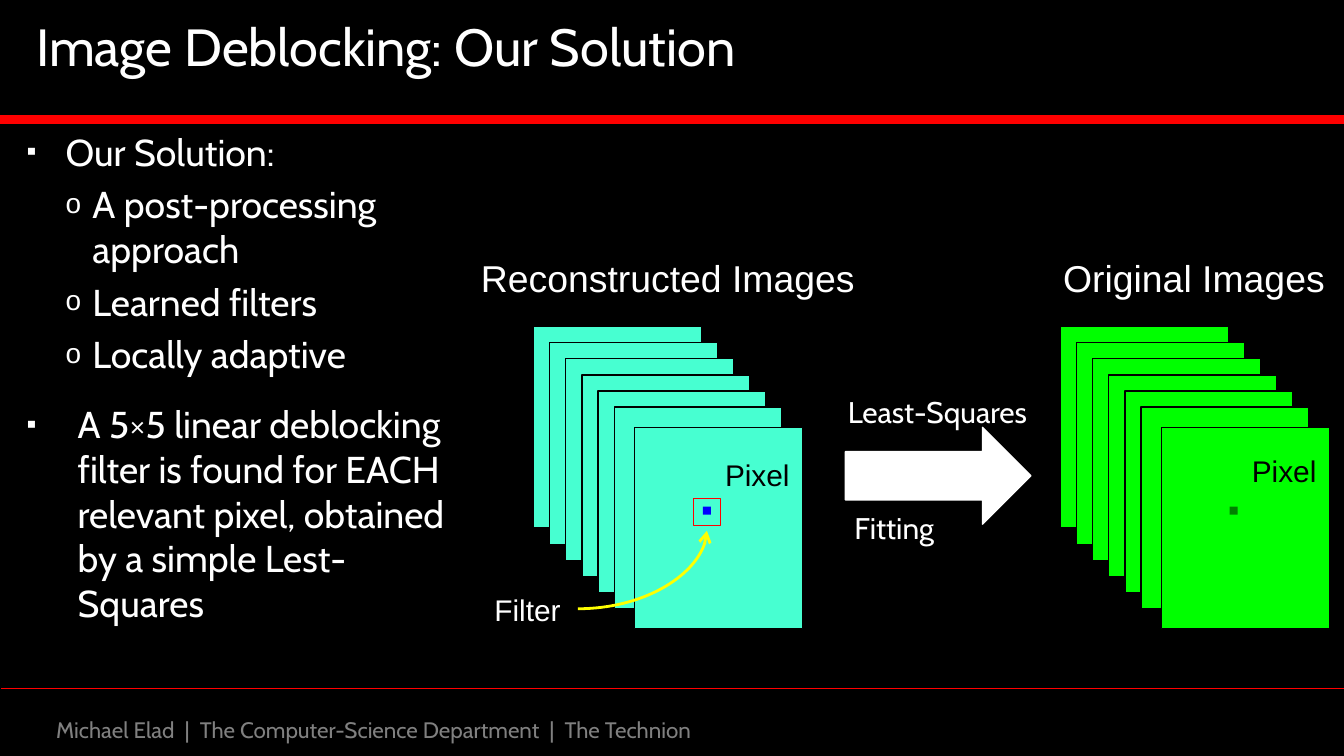
"""Build the image deblocking slide: bullets beside two image stacks joined by a fitting arrow."""
from dataclasses import dataclass
from typing import Optional

from lxml.etree import SubElement
from pptx import Presentation
from pptx.dml.color import RGBColor
from pptx.enum.shapes import MSO_CONNECTOR as Connector, MSO_SHAPE as Preset
from pptx.enum.text import MSO_ANCHOR as Anchor, PP_ALIGN as Align
from pptx.oxml.ns import qn
from pptx.util import Inches, Pt

CELL = 0.1
COLUMNS, ROWS = 100, 56.25


@dataclass(frozen=True)
class Theme:
    """Colours, fonts and type sizes of the slide."""
    background: str = "000000"
    text: str = "FFFFFF"
    dark_text: str = "000000"
    muted: str = "808080"
    accent: str = "FF0000"
    curve: str = "FFFF00"
    body_font: str = "Cabin"
    label_font: str = "Arial"
    title: int = 28
    body: int = 20
    label: int = 16
    footer: int = 12


@dataclass(frozen=True)
class Box:
    """A place on the grid, in cells."""
    column: float
    row: float
    columns: float
    rows: float

    def lengths(self) -> list:
        """Return left, top, width and height."""
        return [cells(n) for n in (self.column, self.row, self.columns, self.rows)]


@dataclass(frozen=True)
class Bullet:
    """One list item, with its indents in cells and its gap in points."""
    text: str
    mark: str
    margin: float
    hanging: float
    gap: float
    level: int = 0


@dataclass(frozen=True)
class Stack:
    """A pile of images with one marked pixel."""
    title: str
    title_box: Box
    column: float
    fill: str
    pixel: str
    pixel_label_row: float


THEME = Theme()
STACK_ROW = 24.3
SHEET_OFFSETS = [1.2 * step for step in range(6)] + [7.5]
BULLETS = [
    Bullet("Our Solution:", "▪", 2.9, 2.9, 0),
    Bullet("A post-processing approach", "o", 4.9, 2, 4.2, 1),
    Bullet("Learned filters", "o", 4.9, 2, 4.2, 1),
    Bullet("Locally adaptive", "o", 4.9, 2, 4.2, 1),
    Bullet("A 5×5 linear deblocking filter is found for EACH relevant pixel, "
           "obtained by a simple Lest-Squares", "▪", 3.8, 3.8, 13.2),
]
ORIGINAL = Stack("Original Images", Box(78, 18.5, 21.7, 4.3), 78.9, "00FF00", "008000", 33.2)
RECONSTRUCTED = Stack("Reconstructed Images", Box(34.7, 18.5, 30, 4.3), 39.7, "47FFD1", "0000FF", 33.5)


def cells(count: float) -> int:
    """Turn grid cells into a length."""
    return Inches(count * CELL)


def colour(code: str) -> RGBColor:
    """Turn a hex code into a colour."""
    return RGBColor.from_string(code)


def set_font(paragraph, size: int, name: str, code: str) -> None:
    """Set the font of a whole paragraph."""
    paragraph.font.size = Pt(size)
    paragraph.font.name = name
    paragraph.font.color.rgb = colour(code)


def add_text(shapes, box: Box, text: str, size: int, name: str = THEME.body_font,
             code: str = THEME.text, align: Align = Align.LEFT, wrap: bool = True):
    """Add a text box holding one paragraph and return its frame."""
    frame = shapes.add_textbox(*box.lengths()).text_frame
    frame.word_wrap = wrap
    paragraph = frame.paragraphs[0]
    paragraph.text = text
    paragraph.alignment = align
    set_font(paragraph, size, name, code)
    return frame


def add_label(shapes, box: Box, text: str, size: int = THEME.label, code: str = THEME.text) -> None:
    """Add a centred diagram label."""
    add_text(shapes, box, text, size, THEME.label_font, code, Align.CENTER, wrap=False)


def add_block(shapes, preset: Preset, box: Box, fill: Optional[str],
              line: Optional[str] = None, width: float = 0.75) -> None:
    """Add a flat shape with an optional fill and outline."""
    shape = shapes.add_shape(preset, *box.lengths())
    shape.shadow.inherit = False
    if fill:
        shape.fill.solid()
        shape.fill.fore_color.rgb = colour(fill)
    else:
        shape.fill.background()
    if line:
        shape.line.color.rgb = colour(line)
        shape.line.width = Pt(width)
    else:
        shape.line.fill.background()


def add_line(shapes, start: tuple, end: tuple, code: str, width: float,
             kind: Connector = Connector.STRAIGHT):
    """Add a connector without a shadow."""
    connector = shapes.add_connector(kind, *(cells(n) for n in start + end))
    connector.line.color.rgb = colour(code)
    connector.line.width = Pt(width)
    SubElement(connector._element.spPr, qn("a:effectLst"))
    return connector


def add_bullets(shapes, box: Box, bullets: list) -> None:
    """Add the bulleted list."""
    frame = shapes.add_textbox(*box.lengths()).text_frame
    frame.word_wrap = True
    for index, bullet in enumerate(bullets):
        paragraph = frame.add_paragraph() if index else frame.paragraphs[0]
        paragraph.text = bullet.text
        paragraph.level = bullet.level
        if bullet.gap:
            paragraph.space_before = Pt(bullet.gap)
        properties = paragraph._p.get_or_add_pPr()
        properties.set("marL", str(cells(bullet.margin)))
        properties.set("indent", str(-cells(bullet.hanging)))
        SubElement(SubElement(properties, qn("a:buClr")), qn("a:srgbClr"), val=THEME.text)
        SubElement(properties, qn("a:buSzPct"), val="75000")
        SubElement(properties, qn("a:buFont"), typeface=THEME.label_font)
        SubElement(properties, qn("a:buChar"), char=bullet.mark)
        set_font(paragraph, THEME.body, THEME.body_font, THEME.text)


def add_stack(shapes, stack: Stack) -> None:
    """Add a titled pile of images and its marked pixel."""
    add_label(shapes, stack.title_box, stack.title, THEME.body)
    for offset in SHEET_OFFSETS:
        sheet = Box(stack.column + offset, STACK_ROW + offset, 12.5, 15)
        width = 0.5 if offset == SHEET_OFFSETS[-1] else 0.75
        add_block(shapes, Preset.RECTANGLE, sheet, stack.fill, THEME.background, width)
    add_block(shapes, Preset.RECTANGLE, Box(stack.column + 12.6, 37.7, 0.6, 0.6), stack.pixel)
    add_label(shapes, Box(stack.column + 12.5, stack.pixel_label_row, 8.3, 3.7), "Pixel",
              code=THEME.dark_text)


def add_filter(shapes) -> None:
    """Add the filter window and the curved arrow pointing at it."""
    add_block(shapes, Preset.RECTANGLE, Box(51.6, 37.1, 2, 2), None, THEME.accent, 0.5)
    add_label(shapes, Box(35.5, 43.5, 7.5, 3.7), "Filter")
    curve = add_line(shapes, (43, 45.3), (52.6, 39.5), THEME.curve, 1.5, Connector.CURVE)
    curve._element.spPr.find(qn("a:prstGeom")).set("prst", "curvedConnector2")
    SubElement(curve.line._get_or_add_ln(), qn("a:tailEnd"), type="arrow")


def add_fitting(shapes) -> None:
    """Add the block arrow with its text above and below."""
    add_block(shapes, Preset.RIGHT_ARROW, Box(62.9, 31.8, 13.8, 7.2), THEME.text, THEME.text)
    frame = add_text(shapes, Box(62.1, 28.8, 18.4, 12.5), "Least-Squares", THEME.label)
    paragraph = frame.add_paragraph()
    paragraph.text = "Fitting"
    paragraph.space_before = Pt(43)
    paragraph._p.get_or_add_pPr().set("marL", str(cells(0.5)))
    set_font(paragraph, THEME.label, THEME.body_font, THEME.text)


def main() -> None:
    """Build and save the slide."""
    presentation = Presentation()
    presentation.slide_width, presentation.slide_height = cells(COLUMNS), cells(ROWS)
    slide = presentation.slides.add_slide(presentation.slide_layouts[6])
    slide.background.fill.solid()
    slide.background.fill.fore_color.rgb = colour(THEME.background)
    shapes = slide.shapes
    title = add_text(shapes, Box(0, -0.1, 98.7, 7), "Image Deblocking: Our Solution", THEME.title)
    title.vertical_anchor = Anchor.MIDDLE
    title.margin_left = cells(2.7)
    add_line(shapes, (0.1, 51.2), (COLUMNS, 51.2), THEME.accent, 0.5)
    add_text(shapes, Box(3.2, 52.8, 66.5, 3),
             "Michael Elad  |  The Computer-Science Department  |  The Technion",
             THEME.footer, code=THEME.muted)
    add_line(shapes, (0, 8.9), (COLUMNS, 8.9), THEME.accent, 4.5)
    add_bullets(shapes, Box(1, 9.1, 34, 37.6), BULLETS)
    add_stack(shapes.add_group_shape().shapes, ORIGINAL)
    reconstructed = shapes.add_group_shape().shapes
    add_stack(reconstructed, RECONSTRUCTED)
    add_filter(reconstructed)
    add_fitting(shapes.add_group_shape().shapes)
    presentation.save("out.pptx")


if __name__ == "__main__":
    main()
